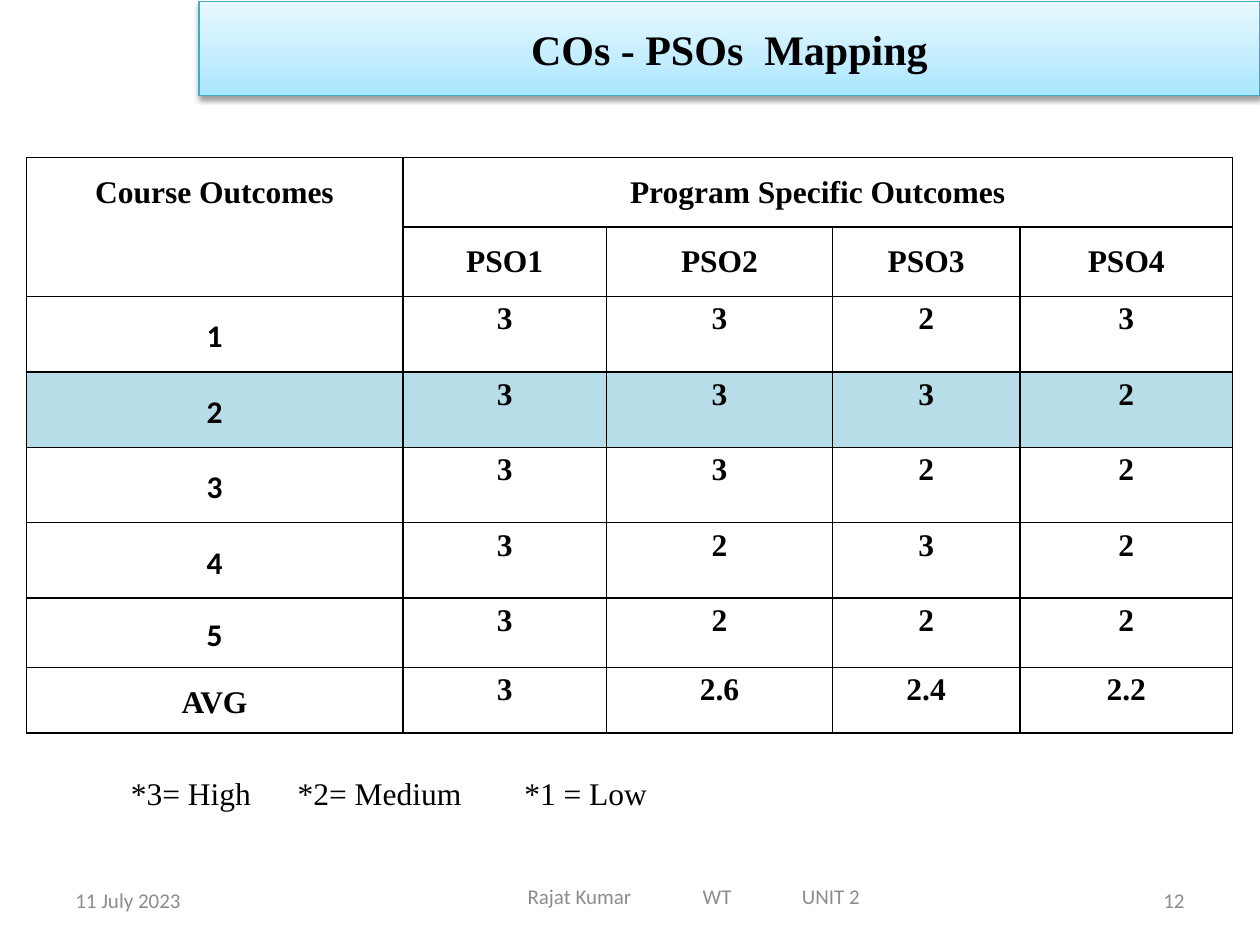
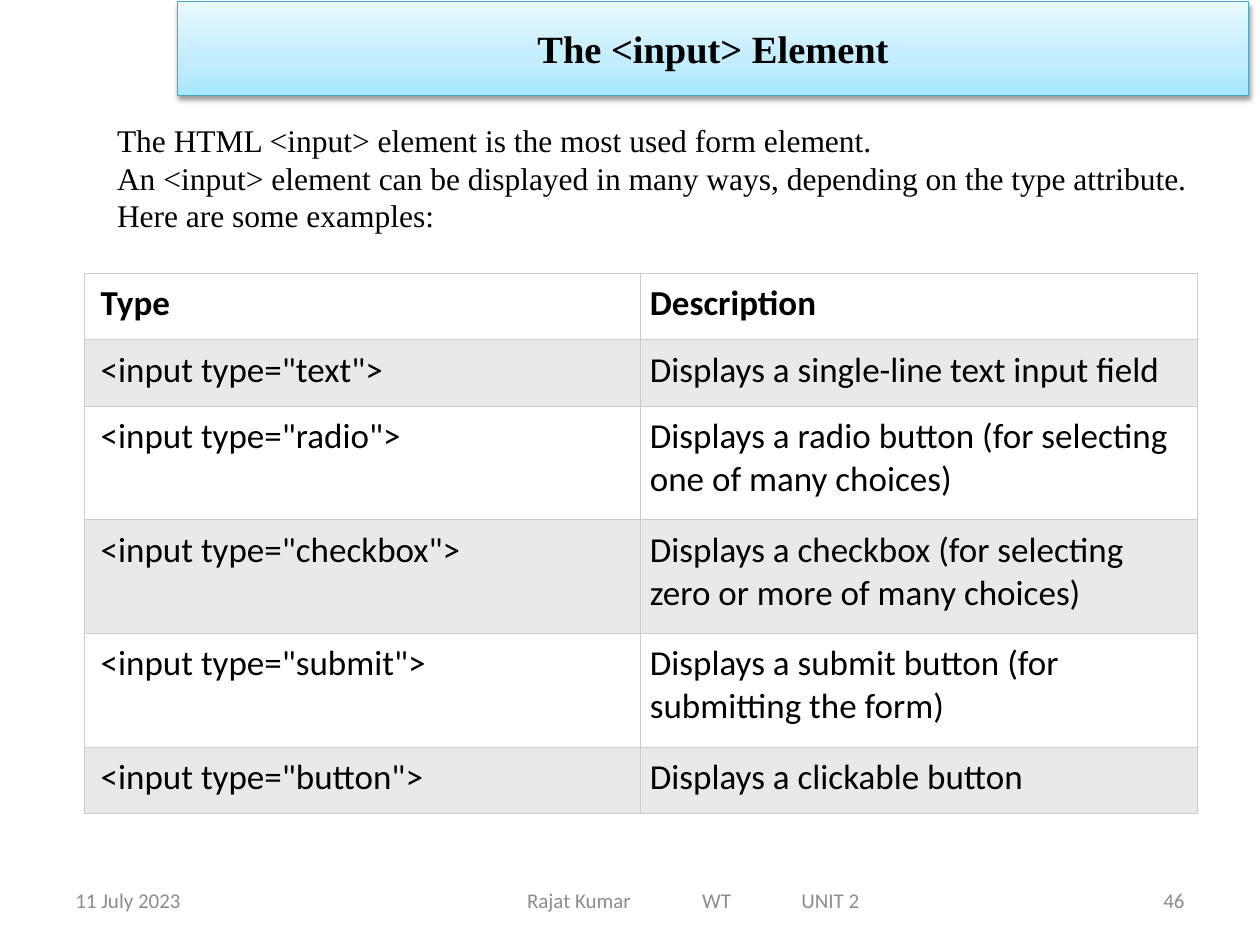
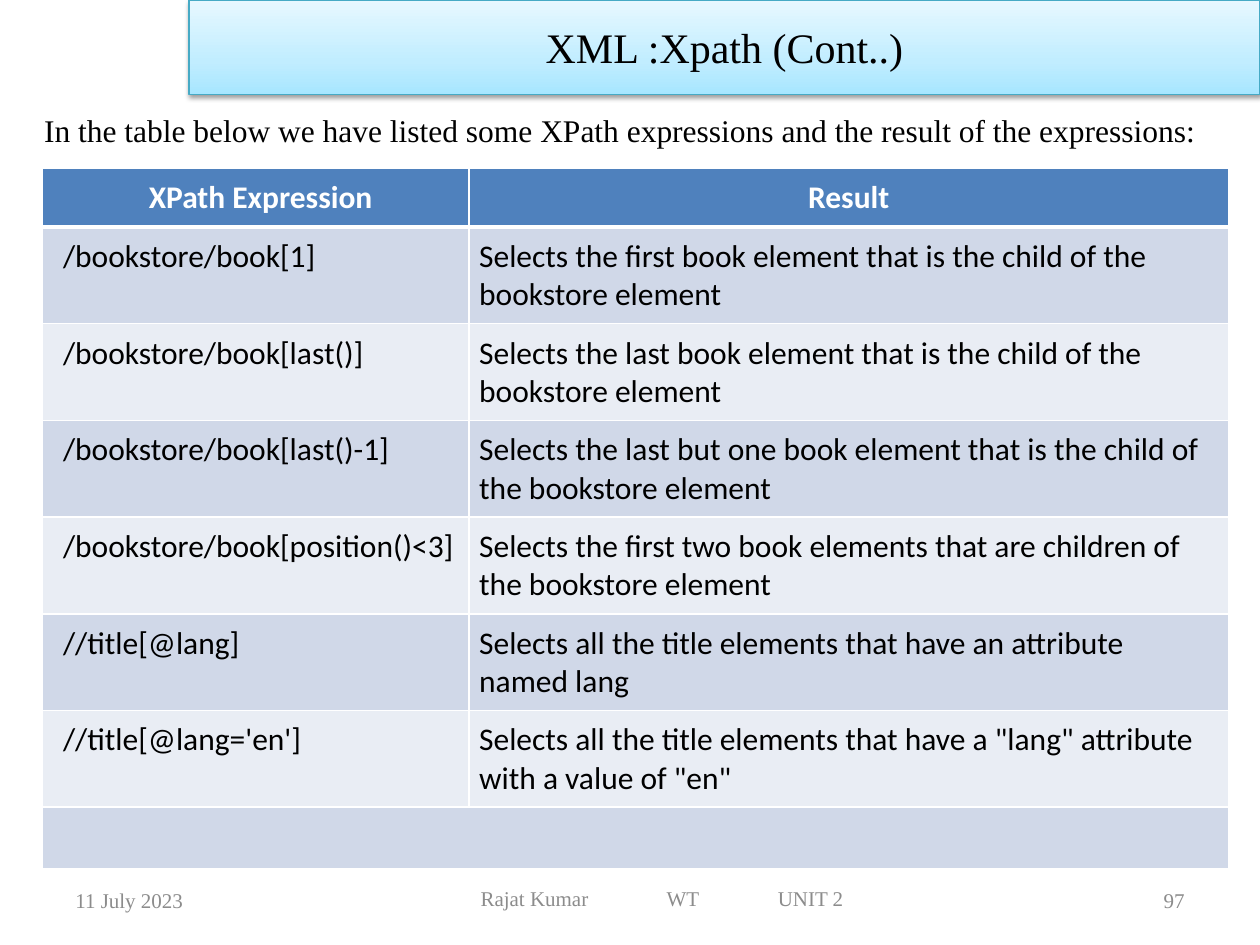
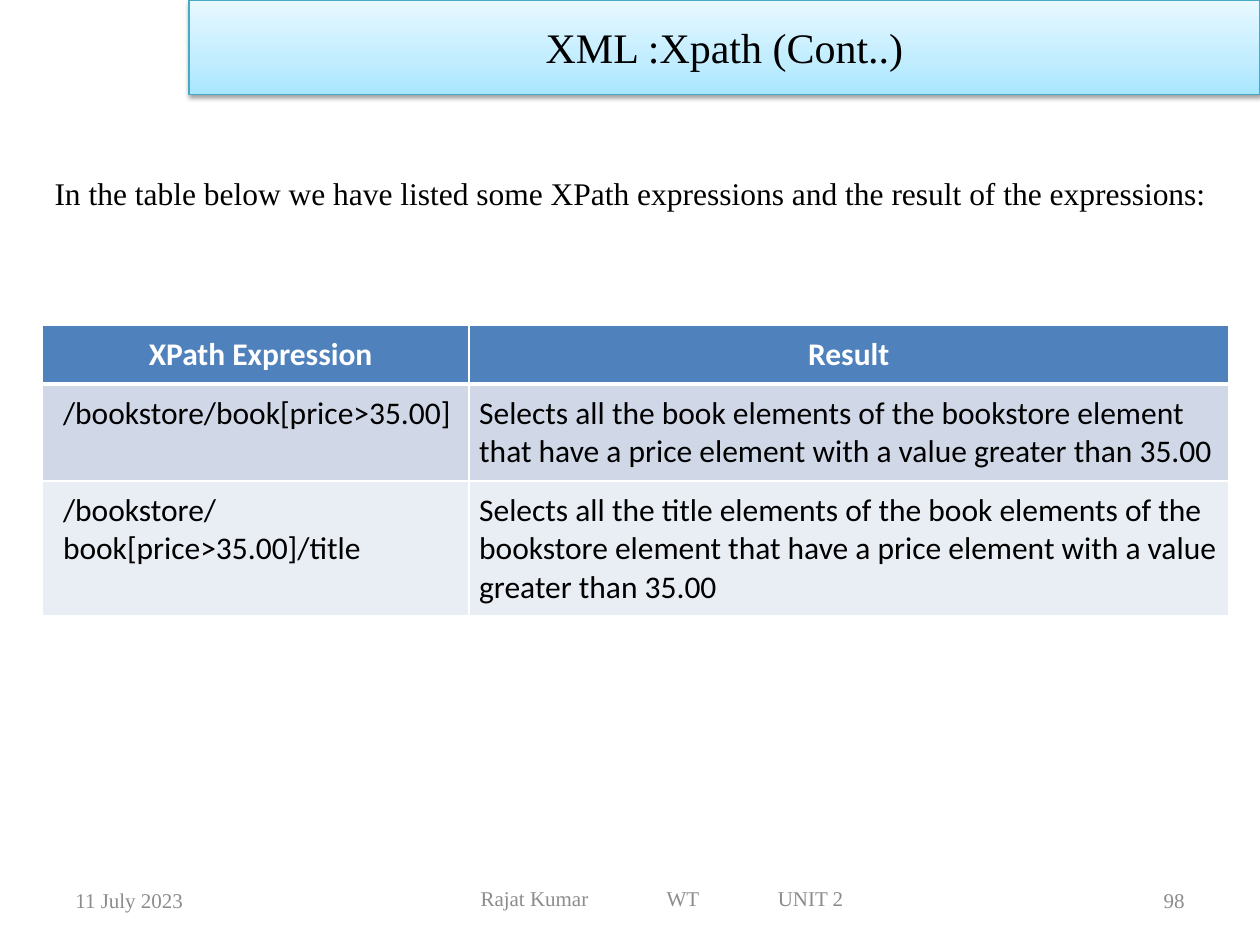
from copy import deepcopy
from dataclasses import dataclass, replace

from lxml.etree import SubElement
from pptx import Presentation
from pptx.dml.color import RGBColor
from pptx.enum.text import MSO_ANCHOR, PP_ALIGN
from pptx.oxml.ns import qn
from pptx.util import Cm, Pt

COLORS = {
    "text": "000000",
    "white": "FFFFFF",
    "footer": "8C8C8C",
    "band_bottom": "A7E6FF",
    "band_middle": "C1EDFF",
    "band_top": "E7F8FF",
    "band_line": "46AAC5",
    "highlight": "B7DEE8",
    "grid": "CCCCCC",
    "stripe": "E7E9EB",
    "header": "4F81BD",
    "row_dark": "D0D8E8",
    "row_light": "E9EDF4",
}
BAND_STOPS = ((0, "band_bottom"), (0.35, "band_middle"), (1, "band_top"))
SERIF = "Times New Roman"
SANS = "Calibri"

DATE = "11 July 2023"
FOOTER = "Rajat Kumar\tWT\tUNIT 2"
# Per font: where the tabs stand and how wide the whole footer line is, in cm
FOOTER_TABS = {SANS: (3.53, 5.53), SERIF: (3.75, 5.99)}
FOOTER_WIDTH = {SANS: 6.7, SERIF: 7.29}


@dataclass(frozen=True)
class TextStyle:
    font: str = SERIF
    size: float = 18
    bold: bool = False
    color: str = "text"
    align: PP_ALIGN = PP_ALIGN.LEFT
    line_spacing: float = 1.0
    space_after: float = 0


@dataclass(frozen=True)
class CellStyle:
    text: TextStyle
    fill: str = ""
    insets: tuple = (0.18, 0.18, 0.18, 0.18)  # left, top, right, bottom
    anchor: MSO_ANCHOR = MSO_ANCHOR.TOP


def rgb(name):
    return RGBColor.from_string(COLORS[name])


def write(frame, text, style):
    frame.text = text
    for para in frame.paragraphs:
        para.alignment = style.align
        para.line_spacing = style.line_spacing
        para.space_after = Pt(style.space_after)
        for span in para.runs:
            span.font.name = style.font
            span.font.size = Pt(style.size)
            span.font.bold = style.bold
            span.font.color.rgb = rgb(style.color)


def set_tabs(para, stops):
    tabs = SubElement(para._p.get_or_add_pPr(), qn("a:tabLst"))
    for stop in stops:
        SubElement(tabs, qn("a:tab"), pos=str(Cm(stop)), algn="l")


def add_shadow(shape):
    effects = SubElement(shape._element.spPr, qn("a:effectLst"))
    shadow = SubElement(effects, qn("a:outerShdw"), blurRad=str(Pt(3.1)),
                        dist=str(Pt(1.6)), dir="5400000", rotWithShape="0")
    color = SubElement(shadow, qn("a:srgbClr"), val=COLORS["text"])
    SubElement(color, qn("a:alpha"), val="38000")


def set_borders(cell, color, widths):
    """Draw the four sides of a cell; widths are points for L, R, T, B."""
    properties = cell._tc.get_or_add_tcPr()
    for side, width in zip("LRTB", widths):
        line = SubElement(properties, qn(f"a:ln{side}"), w=str(Pt(width)))
        fill = SubElement(line, qn("a:solidFill"))
        SubElement(fill, qn("a:srgbClr"), val=COLORS[color])


class CourseDeck:
    def __init__(self):
        self.deck = Presentation()
        self.deck.slide_width = Cm(25.4)
        self.deck.slide_height = Cm(19.05)
        self.slide = None

    def start(self, title, left, width, style, top=0):
        """Add a slide with its title in the gradient band."""
        self.slide = self.deck.slides.add_slide(self.deck.slide_layouts[5])
        band = self.slide.shapes.title
        band.left, band.top = Cm(left), Cm(top)
        band.width, band.height = Cm(width), Cm(1.9)
        band.text_frame.vertical_anchor = MSO_ANCHOR.MIDDLE
        write(band.text_frame, title, replace(style, align=PP_ALIGN.CENTER))
        band.fill.gradient()
        band.fill.gradient_angle = 90
        stops = band._element.spPr.find(".//" + qn("a:gsLst"))
        stops.insert(1, deepcopy(stops[0]))
        for stop, (position, color) in zip(band.fill.gradient_stops, BAND_STOPS):
            stop.position = position
            stop.color.rgb = rgb(color)
        band.line.color.rgb = rgb("band_line")
        band.line.width = Pt(0.75)
        add_shadow(band)

    def text(self, text, left, top, width, height, style=TextStyle(),
             anchor=MSO_ANCHOR.TOP, tabs=(), indent=0.25):
        box = self.slide.shapes.add_textbox(Cm(left), Cm(top), Cm(width), Cm(height))
        frame = box.text_frame
        frame.word_wrap = True
        frame.vertical_anchor = anchor
        frame.margin_left = Cm(indent)
        write(frame, text, style)
        if tabs:
            set_tabs(frame.paragraphs[0], tabs)

    def footer(self, number, font, left, top, width, height=1.01):
        style = TextStyle(font, 12, color="footer")
        middle = MSO_ANCHOR.MIDDLE
        self.text(DATE, 1.27, 17.65, 5.92, 1.01, style, middle)
        self.text(FOOTER, left, top, width, height, style, middle,
                  FOOTER_TABS[font], (width - FOOTER_WIDTH[font]) / 2)
        self.text(str(number), 18.21, 17.65, 5.92, 1.01,
                  replace(style, align=PP_ALIGN.RIGHT), middle)

    def table(self, rows, left, top, columns, heights, look, border,
              line_width, header_rule=None, merges=()):
        """Add a table; look(row, column) gives the style of each cell."""
        table = self.slide.shapes.add_table(
            len(heights), len(columns), Cm(left), Cm(top),
            Cm(sum(columns)), Cm(sum(heights))).table
        table.first_row = table.horz_banding = False
        for column, width in zip(table.columns, columns):
            column.width = Cm(width)
        for row, height in zip(table.rows, heights):
            row.height = Cm(height)
        for r, texts in enumerate(rows):
            for c, text in enumerate(texts):
                cell, style = table.cell(r, c), look(r, c)
                bottom = header_rule if header_rule and r == 0 else line_width
                set_borders(cell, border, (line_width,) * 3 + (bottom,))
                if style.fill:
                    cell.fill.solid()
                    cell.fill.fore_color.rgb = rgb(style.fill)
                else:
                    cell.fill.background()
                (cell.margin_left, cell.margin_top, cell.margin_right,
                 cell.margin_bottom) = map(Cm, style.insets)
                cell.vertical_anchor = style.anchor
                write(cell.text_frame, text, style.text)
        for first, last in merges:
            table.cell(*first).merge(table.cell(*last))


def mapping_look(row, column):
    text = TextStyle(bold=True, align=PP_ALIGN.CENTER, line_spacing=1.15)
    if row < 2 or (row == 7 and column == 0):
        return CellStyle(text, insets=(0.18, 0.25, 0.18, 0.25))
    fill = {2: "white", 3: "highlight"}.get(row, "")
    style = CellStyle(text, fill, (0.18, 0, 0.18, 0))
    if column == 0:
        return replace(style, text=replace(text, font=SANS, space_after=10),
                       anchor=MSO_ANCHOR.MIDDLE)
    return style


def input_look(row, column):
    return CellStyle(TextStyle(SANS, 20, bold=row == 0),
                     "stripe" if row % 2 else "white",
                     (0.18 if column else 0.33, 0.18, 0.18, 0.18))


def xpath_look(row, column):
    insets = (0.21 if column else 0.42, 0.21, 0.21, 0.21)
    if row == 0:
        heading = TextStyle(SANS, 18, True, "white", PP_ALIGN.CENTER)
        return CellStyle(heading, "header", insets)
    return CellStyle(TextStyle(SANS), "row_dark" if row % 2 else "row_light", insets)


MAPPING = [
    ("Course Outcomes", "Program Specific Outcomes", "", "", ""),
    ("", "PSO1", "PSO2", "PSO3", "PSO4"),
    ("1", "3", "3", "2", "3"),
    ("2", "3", "3", "3", "2"),
    ("3", "3", "3", "2", "2"),
    ("4", "3", "2", "3", "2"),
    ("5", "3", "2", "2", "2"),
    ("AVG", "3", "2.6", "2.4", "2.2"),
]
INPUT_INTRO = (
    "The HTML <input> element is the most used form element.\n"
    "An <input> element can be displayed in many ways, depending on the type attribute.\n"
    "Here are some examples:"
)
INPUT_TYPES = [
    ("Type", "Description"),
    ('<input type="text">', "Displays a single-line text input field"),
    ('<input type="radio">', "Displays a radio button (for selecting one of many choices)"),
    ('<input type="checkbox">',
     "Displays a checkbox (for selecting zero or more of many choices)"),
    ('<input type="submit">', "Displays a submit button (for submitting the form)"),
    ('<input type="button">', "Displays a clickable button"),
]
XPATH_TITLE = "XML :Xpath (Cont..)"
XPATH_INTRO = ("In the table below we have listed some XPath expressions "
               "and the result of the expressions:")
XPATH_HEADER = ("XPath Expression", "Result")
XPATH_POSITIONS = [
    XPATH_HEADER,
    ("/bookstore/book[1]",
     "Selects the first book element that is the child of the bookstore element"),
    ("/bookstore/book[last()]",
     "Selects the last book element that is the child of the bookstore element"),
    ("/bookstore/book[last()-1]",
     "Selects the last but one book element that is the child of the bookstore element"),
    ("/bookstore/book[position()<3]",
     "Selects the first two book elements that are children of the bookstore element"),
    ("//title[@lang]",
     "Selects all the title elements that have an attribute named lang"),
    ("//title[@lang='en']",
     'Selects all the title elements that have a "lang" attribute with a value of "en"'),
    ("", ""),
]
XPATH_PRICES = [
    XPATH_HEADER,
    ("/bookstore/book[price>35.00]",
     "Selects all the book elements of the bookstore element that have "
     "a price element with a value greater than 35.00"),
    ("/bookstore/book[price>35.00]/title",
     "Selects all the title elements of the book elements of the bookstore element "
     "that have a price element with a value greater than 35.00"),
]


def mapping_slide(course):
    course.start("COs - PSOs  Mapping", 4.01, 21.39, TextStyle(size=24, bold=True), 0.03)
    course.table(MAPPING, 0.53, 3.18, (7.59, 4.11, 4.55, 3.78, 4.29),
                 (1.4, 1.4, 1.52, 1.52, 1.52, 1.52, 1.4, 1.32),
                 mapping_look, "text", 1,
                 merges=(((0, 0), (1, 0)), ((0, 1), (0, 4))))
    course.text("*3= High\t*2= Medium\t*1 = Low", 2.03, 15.37, 12.78, 1.24,
                anchor=MSO_ANCHOR.MIDDLE, tabs=(3.36, 7.93), indent=0.61)
    course.footer(12, SANS, 6.15, 17.68, 15.67, 0.76)


def input_slide(course):
    course.start("The <input> Element", 3.58, 21.59, TextStyle(size=22, bold=True), 0.03)
    course.text(INPUT_INTRO, 2.11, 2.31, 22.43, 2.57)
    course.table(INPUT_TYPES, 1.7, 5.51, (11.22, 11.22),
                 (1.34, 1.34, 2.29, 2.29, 2.29, 1.34), input_look, "grid", 0.6)
    course.footer(46, SANS, 6.99, 17.65, 13.97)


def xpath_slide(course, number, rows, heights, intro_at, table_top, merges=()):
    course.start(XPATH_TITLE, 3.81, 21.59, TextStyle(size=24))
    course.text(XPATH_INTRO, *intro_at, 24.13, 1.03)
    course.table(rows, 0.85, table_top, (8.6, 15.32), heights, xpath_look,
                 "white", 1, header_rule=3, merges=merges)
    course.footer(number, SERIF, 6.35, 17.6, 13.97)


def main():
    course = CourseDeck()
    mapping_slide(course)
    input_slide(course)
    xpath_slide(course, 97, XPATH_POSITIONS, (1.18, *[1.95] * 6, 1.24),
                (0.64, 2.12), 3.39, merges=(((7, 0), (7, 1)),))
    xpath_slide(course, 98, XPATH_PRICES, (1.18, 1.95, 2.71), (0.85, 3.39), 6.56)
    course.deck.save("out.pptx")


if __name__ == "__main__":
    main()
